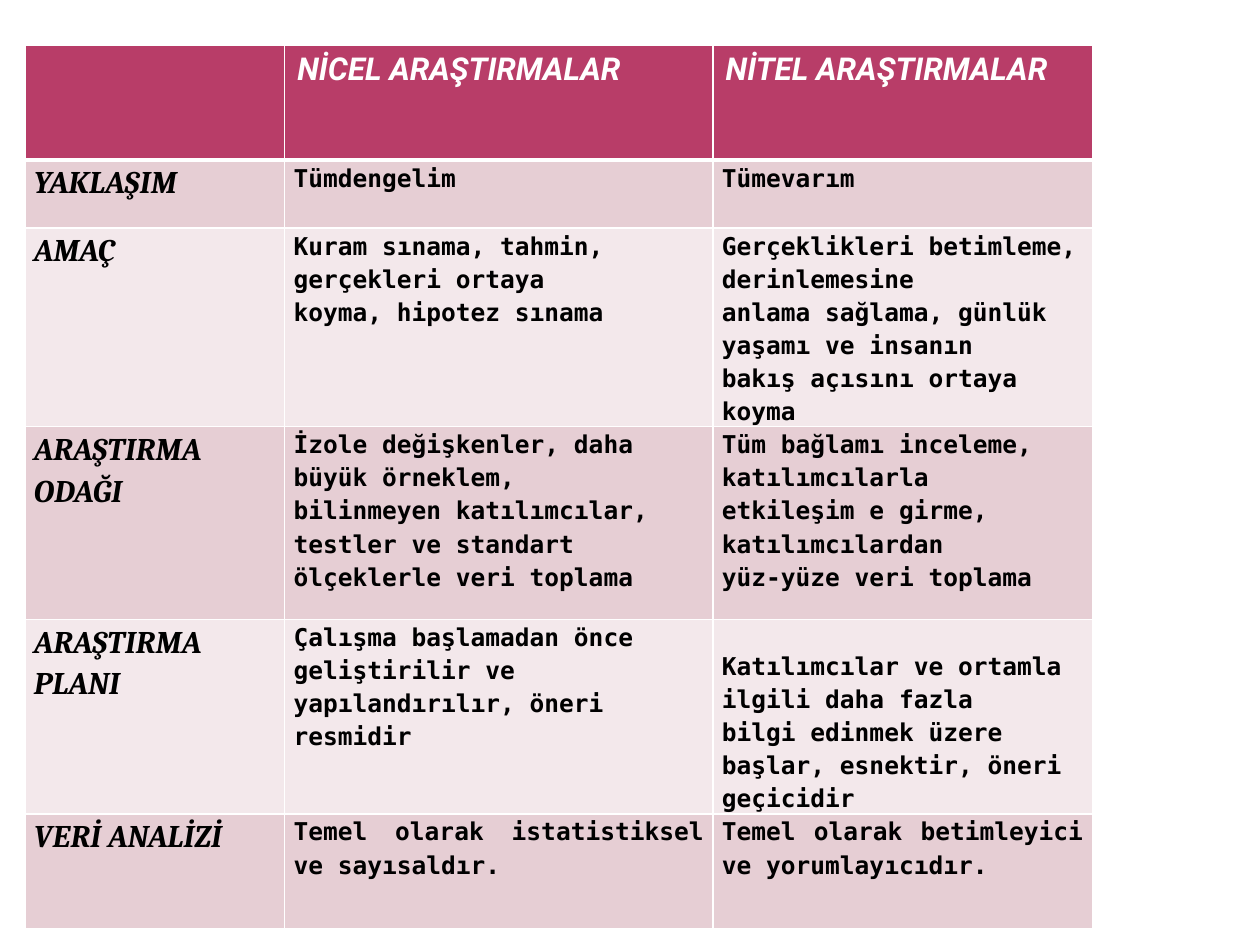
from dataclasses import dataclass

from lxml import etree
from pptx import Presentation, util as u
from pptx.dml.color import RGBColor
from pptx.enum import text
from pptx.oxml import ns

SLIDE_W, SLIDE_H = 10, 7.5
LEFT, TOP = 0.02 * SLIDE_W, 0.048 * SLIDE_H
COLUMN_WIDTHS = (2.06, 3.4, 3.01)
HEADER_HEIGHT = 0.91
COLORS = {"header": "B83D68", "odd": "E6CED4", "even": "F3E8EB",
          "white": "FFFFFF", "ink": "000000"}
LEFT_ALIGN, JUSTIFY = text.PP_ALIGN.LEFT, text.PP_ALIGN.JUSTIFY


@dataclass
class Comparison:
    topic: str
    quantitative: str
    qualitative: str
    height: float
    align: text.PP_ALIGN = LEFT_ALIGN
    qualitative_drop: float = 0  # extra space above the last column's text


HEADINGS = ("", "NİCEL ARAŞTIRMALAR", "NİTEL ARAŞTIRMALAR")
COMPARISONS = [
    Comparison("YAKLAŞIM", "Tümdengelim", "Tümevarım", 0.54, JUSTIFY),
    Comparison("AMAÇ",
               "Kuram sınama, tahmin, gerçekleri ortaya\nkoyma, hipotez sınama",
               "Gerçeklikleri betimleme, derinlemesine\n"
               "anlama sağlama, günlük yaşamı ve insanın\n"
               "bakış açısını ortaya koyma", 1.07),
    Comparison("ARAŞTIRMA ODAĞI",
               "İzole değişkenler, daha büyük örneklem,\n"
               "bilinmeyen katılımcılar, testler ve standart\n"
               "ölçeklerle veri toplama",
               "Tüm bağlamı inceleme, katılımcılarla\n"
               "etkileşim e girme, katılımcılardan\n"
               "yüz-yüze veri toplama", 1.53),
    Comparison("ARAŞTIRMA PLANI",
               "Çalışma başlamadan önce geliştirilir ve\n"
               "yapılandırılır, öneri resmidir",
               "Katılımcılar ve ortamla ilgili daha fazla\n"
               "bilgi edinmek üzere başlar, esnektir, öneri\n"
               "geçicidir", 0.92, qualitative_drop=0.23),
    Comparison("VERİ ANALİZİ", "Temel olarak istatistiksel ve sayısaldır.",
               "Temel olarak betimleyici ve yorumlayıcıdır.", 0.91, JUSTIFY),
]


def write(cell, content: str, *, font: str, size: float, color: str = "ink",
          italic: bool = False, align=LEFT_ALIGN, spacing: float = 1.0) -> None:
    """Fill a cell with one paragraph per line of content."""
    frame = cell.text_frame
    frame.text = content
    for paragraph in frame.paragraphs:
        paragraph.alignment = align
        paragraph.line_spacing = spacing
        for run in paragraph.runs:
            run.font.name = font
            run.font.size = u.Pt(size)
            run.font.bold = True
            run.font.italic = italic
            run.font.color.rgb = RGBColor.from_string(COLORS[color])


def set_border(cell, side: str, width: float) -> None:
    line = etree.SubElement(cell._tc.get_or_add_tcPr(), ns.qn(f"a:ln{side}"),
                            w=str(u.Pt(width)))
    fill = etree.SubElement(line, ns.qn("a:solidFill"))
    etree.SubElement(fill, ns.qn("a:srgbClr"), val=COLORS["white"])


def paint(cell, fill: str, top: float = 1, bottom: float = 1) -> None:
    """Borders come first: the schema wants them ahead of the fill."""
    for side, width in (("L", 1), ("R", 1), ("T", top), ("B", bottom)):
        set_border(cell, side, width)
    cell.fill.solid()
    cell.fill.fore_color.rgb = RGBColor.from_string(COLORS[fill])


def set_margins(cell, side: float, top: float) -> None:
    cell.margin_left = cell.margin_right = u.Inches(side)
    cell.margin_top, cell.margin_bottom = u.Inches(top), 0


def draw_header(table) -> None:
    for cell, heading in zip(table.rows[0].cells, HEADINGS):
        paint(cell, "header", bottom=3)
        write(cell, heading, font="Roboto", size=18, color="white", italic=True)


def draw_comparison(table, number: int, item: Comparison) -> None:
    topic, quantitative, qualitative = table.rows[number].cells
    for cell in (topic, quantitative, qualitative):
        paint(cell, "odd" if number % 2 else "even", top=3 if number == 1 else 1)
        set_margins(cell, 0.07, 0)
    qualitative.margin_top = u.Inches(item.qualitative_drop)
    write(topic, item.topic, font="Cambria", size=18, italic=True,
          align=JUSTIFY, spacing=1.15)
    for cell, content in ((quantitative, item.quantitative),
                          (qualitative, item.qualitative)):
        write(cell, content, font="DejaVu Sans Mono", size=14,
              align=item.align, spacing=1.15)


def main() -> None:
    deck = Presentation()
    deck.slide_width, deck.slide_height = u.Inches(SLIDE_W), u.Inches(SLIDE_H)
    slide = deck.slides.add_slide(deck.slide_layouts[6])

    # Table grid
    heights = [HEADER_HEIGHT] + [item.height for item in COMPARISONS]
    table = slide.shapes.add_table(
        len(heights), len(COLUMN_WIDTHS), u.Inches(LEFT), u.Inches(TOP),
        u.Inches(sum(COLUMN_WIDTHS)), u.Inches(sum(heights))).table
    for column, width in zip(table.columns, COLUMN_WIDTHS):
        column.width = u.Inches(width)
    for row, height in zip(table.rows, heights):
        row.height = u.Inches(height)

    # Header and compared topics
    draw_header(table)
    for number, item in enumerate(COMPARISONS, start=1):
        draw_comparison(table, number, item)

    deck.save("out.pptx")


if __name__ == "__main__":
    main()
